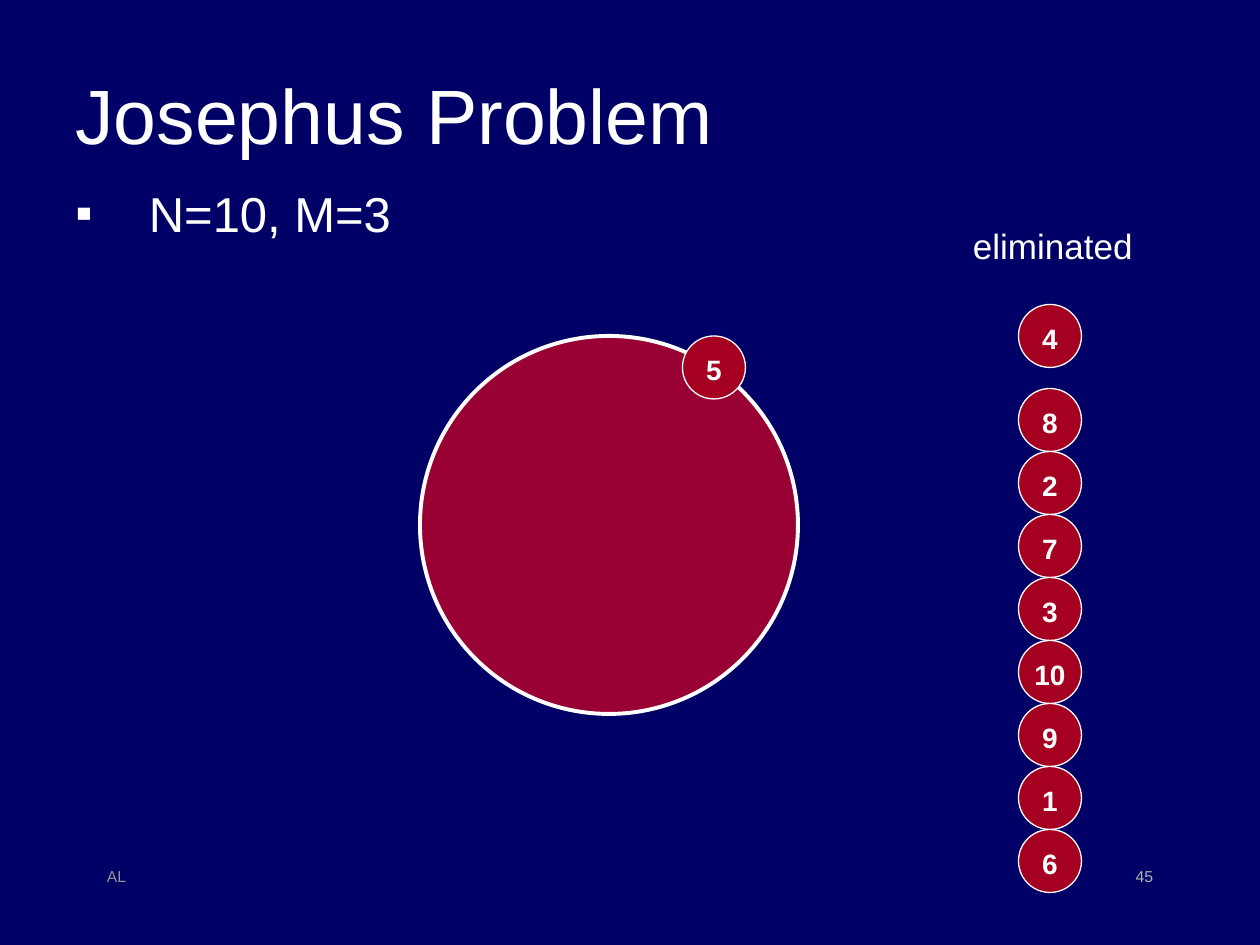
from lxml.etree import SubElement
from pptx import Presentation
from pptx.dml.color import RGBColor
from pptx.enum.shapes import MSO_SHAPE
from pptx.enum.text import MSO_ANCHOR, PP_ALIGN
from pptx.oxml.ns import qn
from pptx.util import Pt


def rgb(value):
    return RGBColor.from_string(value)


def write(sp, text, size, color="FFFFFF", align=PP_ALIGN.LEFT, bold=False):
    tf = sp.text_frame
    tf.text = text
    p = tf.paragraphs[0]
    p.alignment = align
    font = p.runs[0].font
    font.name = "Arial"
    font.size = Pt(size)
    font.bold = bold
    font.color.rgb = rgb(color)
    return tf


prs = Presentation()
prs.slide_width = Pt(720)
prs.slide_height = Pt(540)
s = prs.slides.add_slide(prs.slide_layouts[6])
s.background.fill.solid()
s.background.fill.fore_color.rgb = rgb("000066")

eliminated = ["4", "8", "2", "7", "3", "10", "9", "1", "6"]
circles = [("", 240, 192, 216, "990033", 2.25), ("5", 390, 192, 36, "A50021", 0.75)]
for i, number in enumerate(eliminated):
    top = 186 + 36 * i if i else 174
    circles.append((number, 582, top, 36, "A50021", 0.75))

for number, left, top, size, color, width in circles:
    sp = s.shapes.add_shape(MSO_SHAPE.OVAL, Pt(left), Pt(top), Pt(size), Pt(size))
    sp.shadow.inherit = False
    sp.fill.solid()
    sp.fill.fore_color.rgb = rgb(color)
    sp.line.color.rgb = rgb("FFFFFF")
    sp.line.width = Pt(width)
    if number:
        tf = write(sp, number, 16, align=PP_ALIGN.CENTER, bold=True)
        tf.vertical_anchor = MSO_ANCHOR.TOP
        tf.margin_left = tf.margin_right = tf.margin_bottom = 0
        tf.margin_top = Pt(4.3)

labels = [
    ("Josephus Problem", 36, 28.8, 648, 72, 44, "FFFFFF", PP_ALIGN.LEFT),
    ("eliminated", 548.6, 124.6, 106, 31.6, 20, "FFFFFF", PP_ALIGN.CENTER),
    ("45", 516, 492, 150, 36, 9, "B2B2B2", PP_ALIGN.RIGHT),
    ("AL", 54, 492, 150, 36, 9, "969696", PP_ALIGN.LEFT),
]
for text, left, top, width, height, size, color, align in labels:
    sp = s.shapes.add_textbox(Pt(left), Pt(top), Pt(width), Pt(height))
    tf = write(sp, text, size, color, align)
    tf.word_wrap = text != "eliminated"
    if text == "Josephus Problem":
        tf.vertical_anchor = MSO_ANCHOR.MIDDLE

sp = s.shapes.add_textbox(Pt(36), Pt(108), Pt(648), Pt(48))
tf = write(sp, "N=10, M=3", 28)
tf.word_wrap = True
p = tf.paragraphs[0]
p.line_spacing = 0.8
pPr = p._p.get_or_add_pPr()
pPr.set("marL", str(Pt(42)))
pPr.set("indent", str(Pt(-42)))
SubElement(SubElement(pPr, qn("a:buClr")), qn("a:srgbClr")).set("val", "FFFFFF")
SubElement(pPr, qn("a:buFont")).set("typeface", "Arial")
SubElement(pPr, qn("a:buChar")).set("char", "▪")

prs.save("out.pptx")
